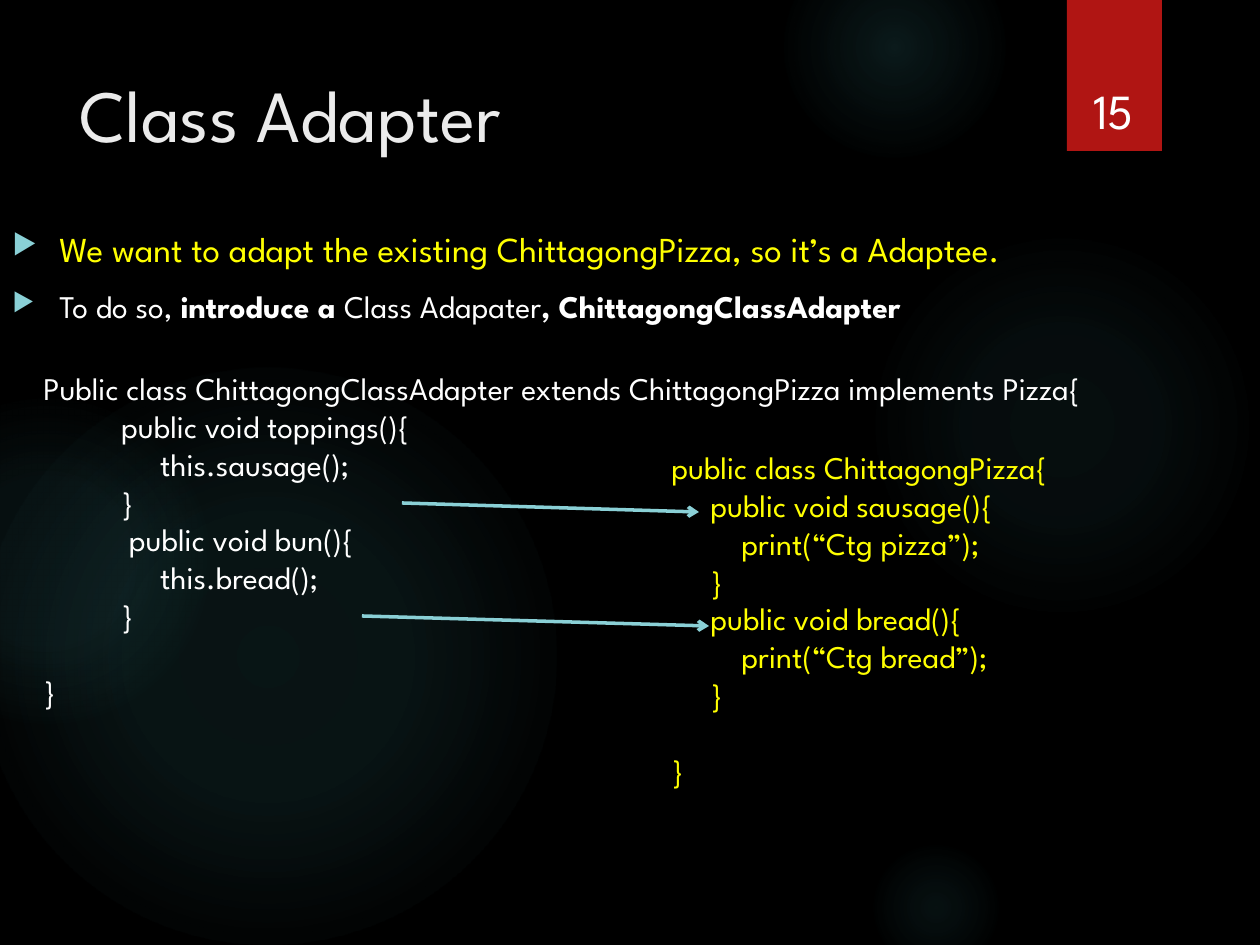
import lxml.etree
import pptx
import pptx.dml.color
import pptx.enum.shapes
import pptx.enum.text
import pptx.oxml
import pptx.oxml.ns
import pptx.util

SCALE = 914400 / 126
FONT = "League Spartan"
HUES = {"back": "000000", "glow": "50B9C1", "tab": "B01513", "title": "EBEBEB",
        "white": "FFFFFF", "yellow": "FFFF00", "aqua": "8AD0D6"}
KINDS = pptx.enum.shapes.MSO_SHAPE
ANCHOR = pptx.enum.text.MSO_ANCHOR
ALIGN = pptx.enum.text.PP_ALIGN

GLOWS = [
    (868, 231, 388, ((0, 7), (36, 6), (69, 0))),
    (784, -63, 221, ((0, 14), (36, 7), (73, 0))),
    (868, 840, 136, ((0, 9), (36, 5), (66, 0))),
    (-21, 368, 577, ((0, 11), (36, 10), (75, 0))),
    (-116, 399, 325, ((0, 8), (36, 8), (72, 0))),
]
POINTS = [
    (20, "yellow", [("We want to adapt the existing ChittagongPizza, so it’s a Adaptee.", False)]),
    (18, "white", [("To do so, ", False), ("introduce a ", True),
                   ("Class Adapater", False), (", ChittagongClassAdapter", True)]),
]
ADAPTER = """Public class ChittagongClassAdapter extends ChittagongPizza implements Pizza{
          public void toppings(){
               this.sausage();
          }
           public void bun(){
               this.bread();
          }
}"""
ADAPTEE = """public class ChittagongPizza{
     public void sausage(){
         print(“Ctg pizza”);
     }
     public void bread(){
         print(“Ctg bread”);
     }
}"""
ARROWS = [(402, 503, 699, 512), (362, 616, 709, 626)]


def px(*nums):
    """Turn pixel lengths into EMU."""
    return [round(num * SCALE) for num in nums]


def tint(name):
    """Look up a colour by name."""
    return pptx.dml.color.RGBColor.from_string(HUES[name])


def add(host, tag, **attrs):
    """Append a drawing element to a host element."""
    node = lxml.etree.SubElement(host, pptx.oxml.ns.qn("a:" + tag))
    for key, val in attrs.items():
        node.set(key, str(val))
    return node


def shape(slide, kind, box):
    """Add a preset shape with no outline or shadow."""
    item = slide.shapes.add_shape(kind, *px(*box))
    item.shadow.inherit = False
    item.line.fill.background()
    return item


def glow(slide, left, top, size, stops):
    """Add a soft round glow that fades outward."""
    item = shape(slide, KINDS.OVAL, (left, top, size, size))
    item.fill.background()
    old = item.element.spPr.find(pptx.oxml.ns.qn("a:noFill"))
    grad = pptx.oxml.parse_xml(f"<a:gradFill {pptx.oxml.ns.nsdecls('a')}/>")
    item.element.spPr.replace(old, grad)
    steps = add(grad, "gsLst")
    for place, alpha in stops:
        stop = add(steps, "gs", pos=place * 1000)
        hue = add(stop, "srgbClr", val=HUES["glow"])
        add(hue, "alpha", val=alpha * 1000)
    add(add(grad, "path", path="circle"), "fillToRect", l=50000, t=50000, r=50000, b=50000)


def frame(slide, box, anchor=ANCHOR.TOP):
    """Add a wrapping text box and give back its text frame."""
    text = slide.shapes.add_textbox(*px(*box)).text_frame
    for key, val in {"word_wrap": True, "vertical_anchor": anchor}.items():
        setattr(text, key, val)
    return text


def write(para, words, size, hue, bold=False):
    """Add a styled run to a paragraph."""
    run = para.add_run()
    run.text = words
    style = {"name": FONT, "size": pptx.util.Pt(size), "bold": bold}
    for key, val in style.items():
        setattr(run.font, key, val)
    run.font.color.rgb = tint(hue)


def label(slide, box, words, size, hue, align=ALIGN.LEFT, anchor=ANCHOR.TOP):
    """Add a box with one line of text."""
    para = frame(slide, box, anchor).paragraphs[0]
    para.alignment = align
    write(para, words, size, hue)


def bullets(slide, box, points):
    """Add a list with triangle bullets."""
    text = frame(slide, box)
    for num, (size, hue, runs) in enumerate(points):
        para = text.add_paragraph() if num else text.paragraphs[0]
        props = para._p.get_or_add_pPr()
        dent, = px(47)
        for key, val in {"marL": dent, "indent": -dent}.items():
            props.set(key, str(val))
        add(add(props, "buClr"), "srgbClr", val=HUES["aqua"])
        add(props, "buSzPct", val=80000)
        add(props, "buChar", char="▶")
        if num:
            para.space_before = pptx.util.Pt(10)
        for words, bold in runs:
            write(para, words, size, hue, bold)


def code(slide, box, source, hue):
    """Add a code listing with a gap above its last line."""
    text = frame(slide, box)
    for num, row in enumerate(source.split("\n")):
        para = text.add_paragraph() if num else text.paragraphs[0]
        write(para, row, 18, hue)
    para.space_before = pptx.util.Pt(21.6)


def arrow(slide, ends):
    """Add a straight line with an open arrowhead at its end."""
    item = slide.shapes.add_connector(pptx.enum.shapes.MSO_CONNECTOR.STRAIGHT, *px(*ends))
    item.line.width = pptx.util.Pt(2)
    item.line.color.rgb = tint("aqua")
    add(item.line._get_or_add_ln(), "tailEnd", type="arrow")
    add(item._element.spPr, "effectLst")


def main():
    """Build and save the slide."""
    deck = pptx.Presentation()
    deck.slide_width, deck.slide_height = px(1260, 945)
    slide = deck.slides.add_slide(deck.slide_layouts[6])
    slide.background.fill.solid()
    slide.background.fill.fore_color.rgb = tint("back")
    for spot in GLOWS:
        glow(slide, *spot)
    tab = shape(slide, KINDS.RECTANGLE, (1067, 0, 95, 151))
    tab.fill.solid()
    tab.fill.fore_color.rgb = tint("tab")
    label(slide, (67, 63, 973, 193), "Class Adapter", 42, "title")
    bullets(slide, (0, 221, 1260, 158), POINTS)
    label(slide, (1070, 40, 87, 106), "15", 28, "white", ALIGN.CENTER, ANCHOR.BOTTOM)
    code(slide, (31, 363, 1197, 394), ADAPTER, "white")
    code(slide, (659, 442, 566, 357), ADAPTEE, "yellow")
    for ends in ARROWS:
        arrow(slide, ends)
    deck.save("out.pptx")


if __name__ == "__main__":
    main()
